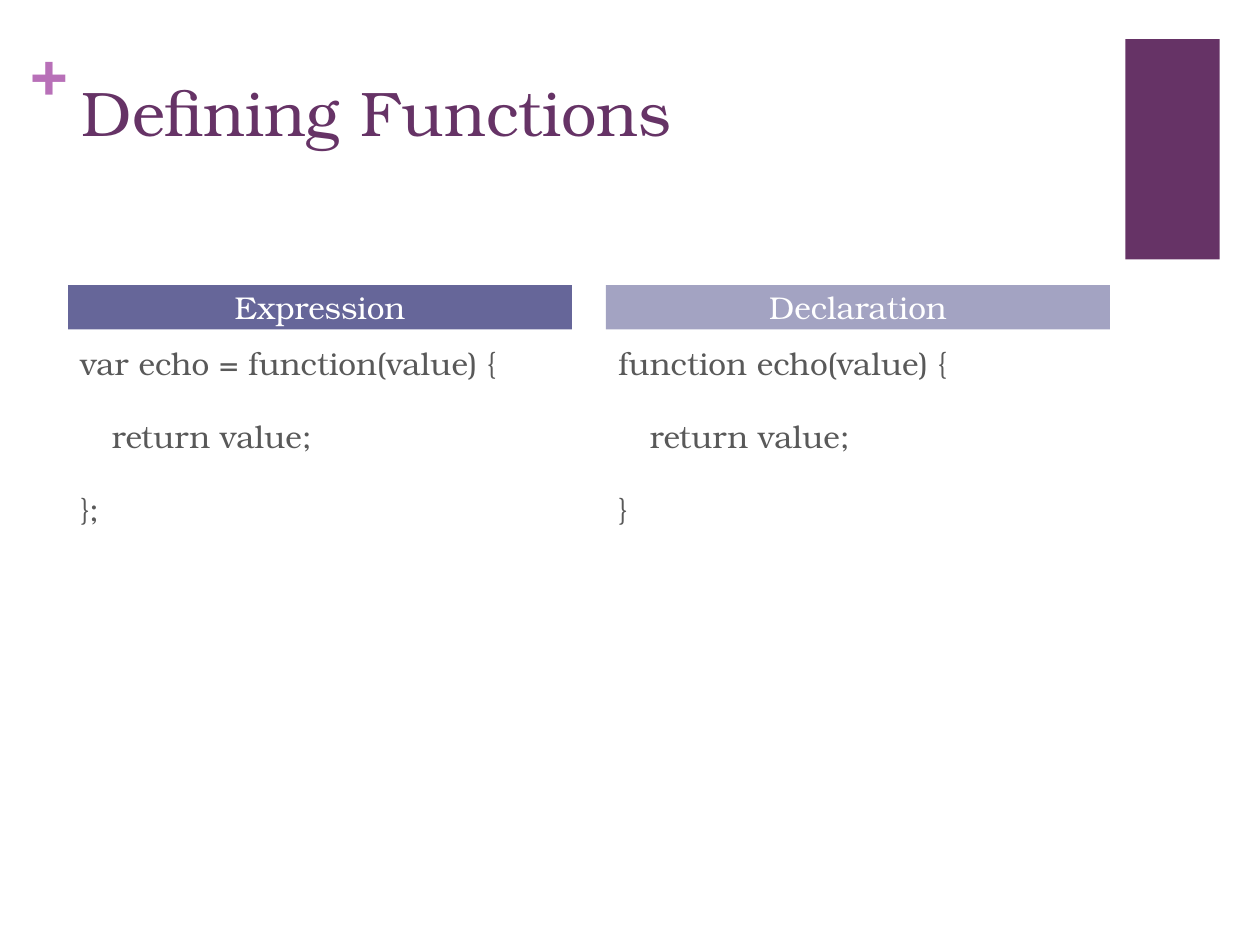
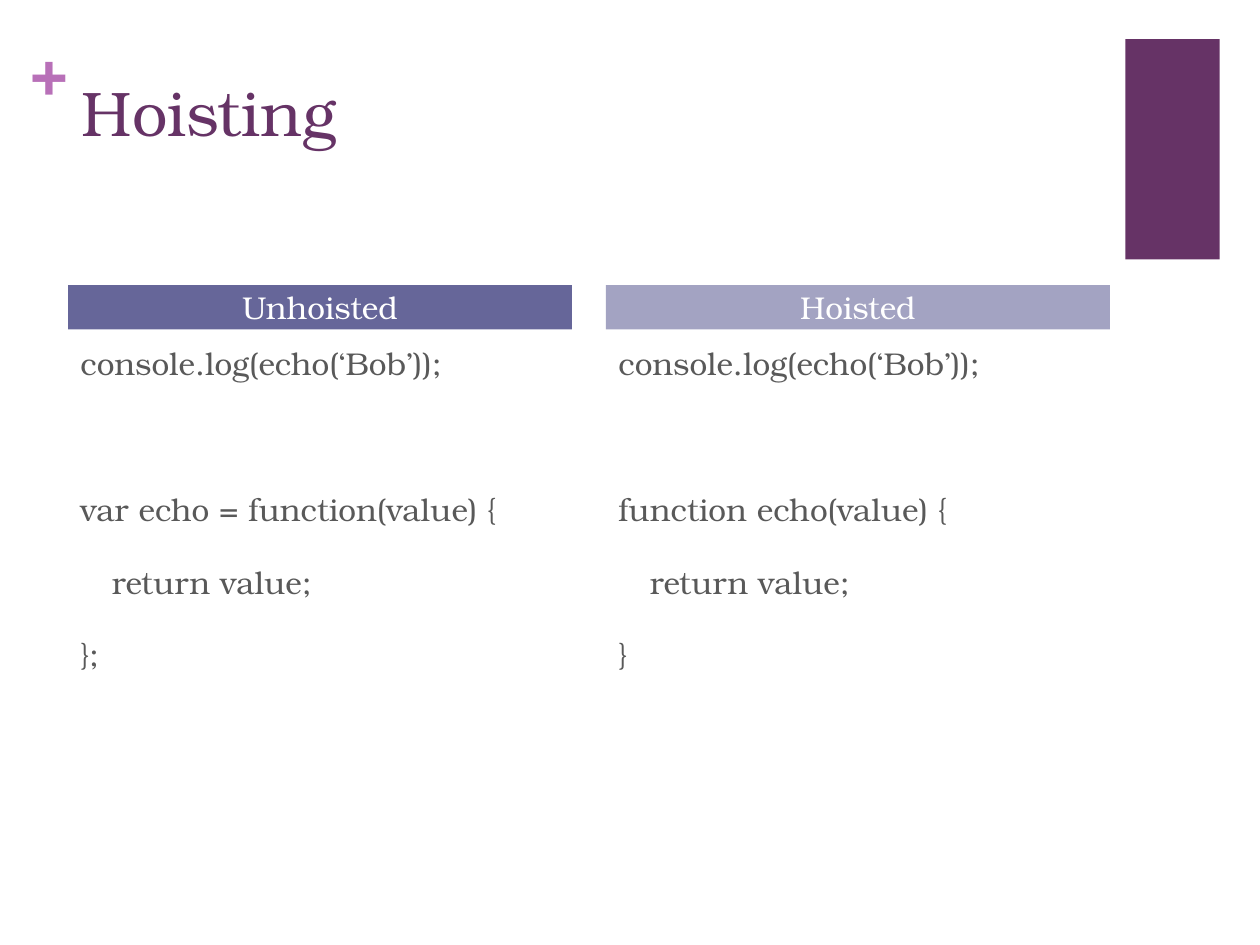
import pptx
import pptx.dml.color
import pptx.enum.shapes
import pptx.enum.text
import pptx.util

SLIDES = [
    {
        "title": "Defining Functions",
        "columns": [
            ("Expression", [["var echo = function(value) {", "\treturn value;", "};"]]),
            ("Declaration", [["function echo(value) {", "\treturn value;", "}"]]),
        ],
    },
    {
        "title": "Hoisting",
        "columns": [
            ("Unhoisted", [
                ["console.log(echo(‘Bob’));"],
                ["var echo = function(value) {", "\treturn value;", "};"],
            ]),
            ("Hoisted", [
                ["console.log(echo(‘Bob’));"],
                ["function echo(value) {", "\treturn value;", "}"],
            ]),
        ],
    },
]

THEME = {
    "font": "TeX Gyre Bonum",
    "title_size": 36,
    "body_size": 18,
    "purple": "663366",
    "plus": "B870B8",
    "body": "595959",
    "header_text": "FFFFFF",
    "headers": ["666699", "A3A3C2"],
}

Pt = pptx.util.Pt
ANCHOR = pptx.enum.text.MSO_ANCHOR
ALIGN = pptx.enum.text.PP_ALIGN

SLIDE_SIZE = (720, 540)
CORNER_BLOCK = (643, 22.3, 54, 126)
PLUS_BOX = (17.3, 18, 20.9, 43.9)
TITLE_BOX = (39.6, 38.2, 594.7, 87.8)
COLUMN_LEFT, COLUMN_WIDTH, COLUMN_GAP = 38.9, 288, 19.4
HEADER_TOP, HEADER_HEIGHT = 163, 25.2
CODE_TOP, CODE_HEIGHT = 193, 289.4
LINE_GAP, BLOCK_GAP = 20, 61.7
CODE_INDENT = 18


def color(name):
    return pptx.dml.color.RGBColor.from_string(name)


def apply(target, values):
    for name, value in values.items():
        setattr(target, name, value)


def add_rectangle(slide, box, fill):
    kind = pptx.enum.shapes.MSO_SHAPE.RECTANGLE
    shape = slide.shapes.add_shape(kind, *map(Pt, box))
    shape.shadow.inherit = False
    shape.fill.solid()
    shape.fill.fore_color.rgb = color(fill)
    shape.line.fill.background()
    return shape


def write(paragraph, text, size, ink, bold=False):
    run = paragraph.add_run()
    run.text = text
    apply(run.font, {"name": THEME["font"], "size": Pt(size), "bold": bold})
    run.font.color.rgb = color(ink)


def add_text_box(slide, box, margins=(7.2, 3.6)):
    frame = slide.shapes.add_textbox(*map(Pt, box)).text_frame
    horizontal, vertical = map(Pt, margins)
    apply(frame, {
        "word_wrap": True,
        "vertical_anchor": ANCHOR.TOP,
        "margin_left": horizontal,
        "margin_right": horizontal,
        "margin_top": vertical,
        "margin_bottom": vertical,
    })
    return frame


def add_header(slide, box, text, fill):
    frame = add_rectangle(slide, box, fill).text_frame
    apply(frame, {
        "vertical_anchor": ANCHOR.MIDDLE,
        "margin_top": 0,
        "margin_bottom": 0,
    })
    frame.paragraphs[0].alignment = ALIGN.CENTER
    write(frame.paragraphs[0], text, THEME["body_size"], THEME["header_text"])


def add_code(slide, box, blocks):
    frame = add_text_box(slide, box)
    paragraph = frame.paragraphs[0]
    for block_index, block in enumerate(blocks):
        for line_index, line in enumerate(block):
            if block_index or line_index:
                paragraph = frame.add_paragraph()
            starts_block = block_index > 0 and line_index == 0
            paragraph.space_before = Pt(BLOCK_GAP if starts_block else LINE_GAP)
            indent = CODE_INDENT if line.startswith("\t") else 0
            paragraph._p.get_or_add_pPr().set("marL", str(Pt(indent)))
            write(paragraph, line.strip(), THEME["body_size"], THEME["body"])


def add_frame(slide, title):
    add_rectangle(slide, CORNER_BLOCK, THEME["purple"])
    plus = add_text_box(slide, PLUS_BOX, (0, 0))
    write(plus.paragraphs[0], "+", THEME["title_size"], THEME["plus"], True)
    heading = add_text_box(slide, TITLE_BOX)
    write(heading.paragraphs[0], title, THEME["title_size"], THEME["purple"])


presentation = pptx.Presentation()
width, height = map(Pt, SLIDE_SIZE)
apply(presentation, {"slide_width": width, "slide_height": height})

for content in SLIDES:
    slide = presentation.slides.add_slide(presentation.slide_layouts[6])
    add_frame(slide, content["title"])
    for index, (header, blocks) in enumerate(content["columns"]):
        left = COLUMN_LEFT + index * (COLUMN_WIDTH + COLUMN_GAP)
        add_code(slide, (left, CODE_TOP, COLUMN_WIDTH, CODE_HEIGHT), blocks)
        header_box = (left, HEADER_TOP, COLUMN_WIDTH, HEADER_HEIGHT)
        add_header(slide, header_box, header, THEME["headers"][index])

presentation.save("out.pptx")
